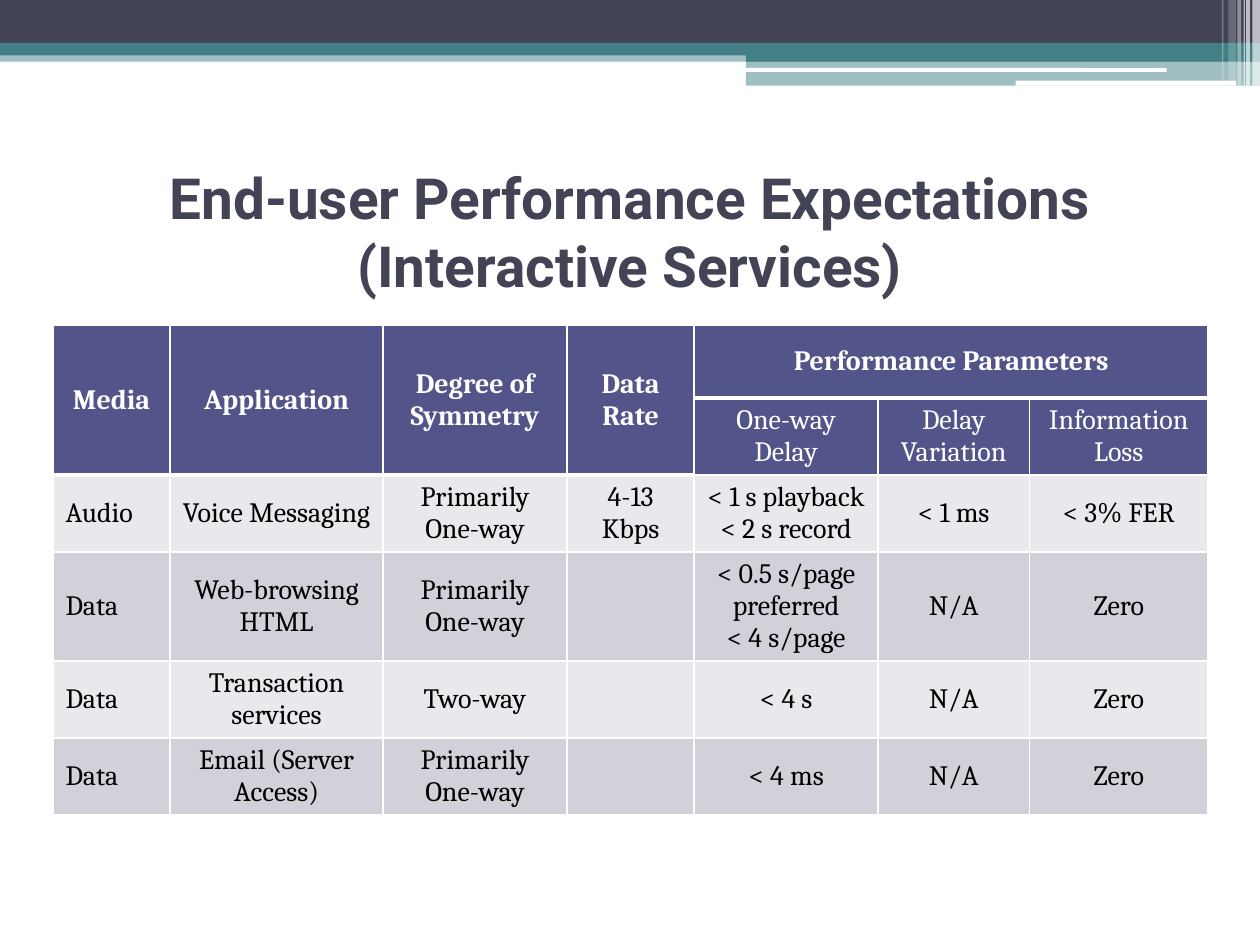
"""Build the slide on end-user performance expectations for interactive services."""
from lxml.etree import SubElement
from pptx import Presentation
from pptx.dml.color import RGBColor
from pptx.enum.shapes import MSO_SHAPE as SHAPE
from pptx.enum.text import MSO_ANCHOR as ANCHOR, MSO_AUTO_SIZE as AUTO, PP_ALIGN as ALIGN
from pptx.oxml.ns import qn
from pptx.util import Inches, Pt

WHITE = RGBColor(0xFF, 0xFF, 0xFF)
BLACK = RGBColor(0, 0, 0)
SLATE = RGBColor(0x42, 0x44, 0x56)
TEAL = RGBColor(0x43, 0x80, 0x86)
HEADER = RGBColor(0x53, 0x54, 0x8A)
BANDS = RGBColor(0xE9, 0xE9, 0xED), RGBColor(0xD1, 0xD1, 0xDA)

TITLE = "End-user Performance Expectations (Interactive Services)"
BARS = [
    (0, 0.4, 10, 0.09, TEAL, 50),
    (0, 0, 10, 0.34, SLATE, 100),
    (0, 0.34, 10, 0.1, TEAL, 100),
    (5.92, 0.39, 4.08, 0.1, TEAL, 100),
    (5.92, 0.48, 4.08, 0.2, TEAL, 50),
]
ROUNDED = [(5.91, 0.54, 3.35, 0.03, WHITE, 100), (8.06, 0.64, 1.75, 0.04, WHITE, 100)]
STRIPES = [
    (9.94, 0, 0.06, 0.68, WHITE, 65),
    (9.89, 0, 0.03, 0.68, WHITE, 65),
    (9.87, 0, 0.01, 0.68, WHITE, 60),
    (9.82, 0, 0.03, 0.68, WHITE, 40),
    (9.75, 0, 0.06, 0.64, WHITE, 20),
    (9.7, 0, 0.01, 0.64, WHITE, 30),
]
COLUMNS = [0.93, 1.69, 1.46, 1.01, 1.46, 1.2, 1.42]
HEIGHTS = [0.58] * 2 + [0.41] * 4
ROWS = [
    ["Media", "Application", "Degree of Symmetry", "Data Rate", "Performance Parameters", "", ""],
    ["", "", "", "", "One-way Delay", "Delay Variation", "Information Loss"],
    ["Audio", "Voice Messaging", "Primarily One-way", "4-13 Kbps",
     "< 1 s playback\n< 2 s record", "< 1 ms", "< 3% FER"],
    ["Data", "Web-browsing HTML", "Primarily One-way", "",
     "< 0.5 s/page\npreferred\n< 4 s/page", "N/A", "Zero"],
    ["Data", "Transaction services", "Two-way", "", "< 4 s", "N/A", "Zero"],
    ["Data", "Email (Server Access)", "Primarily One-way", "", "< 4 ms", "N/A", "Zero"],
]
HEADER_ROWS = 2
MERGES = [((0, c), (1, c)) for c in range(4)] + [((0, 4), (0, 6))]


def style(p, name, size, color, bold, align):
    p.alignment = align
    p.font.name, p.font.size, p.font.bold = name, Pt(size), bold
    p.font.color.rgb = color


def add_bar(slide, kind, x, y, w, h, color, opacity):
    s = slide.shapes.add_shape(kind, Inches(x), Inches(y), Inches(w), Inches(h))
    s.shadow.inherit = False
    s.fill.solid()
    s.fill.fore_color.rgb = color
    s.line.fill.background()
    if opacity < 100:
        rgb = s.fill._xPr.find(qn("a:solidFill"))[0]
        SubElement(rgb, qn("a:alpha"), val=str(opacity * 1000))


def add_borders(cell, bottom):
    tc_pr = cell._tc.get_or_add_tcPr()
    for side, width in (("L", 1), ("R", 1), ("T", 1), ("B", bottom)):
        ln = SubElement(tc_pr, qn(f"a:ln{side}"), w=str(Pt(width)))
        fill = SubElement(ln, qn("a:solidFill"))
        SubElement(fill, qn("a:srgbClr"), val=str(WHITE))


def fill_cell(cell, text, row, col):
    is_header = row < HEADER_ROWS
    add_borders(cell, 3 if row == 0 else 1)
    cell.fill.solid()
    cell.fill.fore_color.rgb = HEADER if is_header else BANDS[(row - HEADER_ROWS) % 2]
    cell.vertical_anchor = ANCHOR.MIDDLE
    cell.text = text
    align = ALIGN.LEFT if col == 0 and not is_header else ALIGN.CENTER
    for p in cell.text_frame.paragraphs:
        style(p, "Cambria", 16, WHITE if is_header else BLACK, row == 0, align)


def add_performance_table(slide):
    frame = slide.shapes.add_table(len(ROWS), len(COLUMNS), Inches(0.42), Inches(2.58),
                                   Inches(9.17), Inches(4.28))
    table = frame.table
    for column, width in zip(table.columns, COLUMNS):
        column.width = Inches(width)
    for row, height in zip(table.rows, HEIGHTS):
        row.height = Inches(height)
    for r, texts in enumerate(ROWS):
        for c, text in enumerate(texts):
            fill_cell(table.cell(r, c), text, r, c)
    for start, end in MERGES:
        table.cell(*start).merge(table.cell(*end))
    frame.height = Inches(4.28)


def main():
    prs = Presentation()
    prs.slide_width, prs.slide_height = Inches(10), Inches(7.5)
    slide = prs.slides.add_slide(prs.slide_layouts[5])
    for kind, bars in ((SHAPE.RECTANGLE, BARS), (SHAPE.ROUNDED_RECTANGLE, ROUNDED),
                       (SHAPE.RECTANGLE, STRIPES)):
        for bar in bars:
            add_bar(slide, kind, *bar)

    title = slide.shapes.title
    title.left, title.top, title.width, title.height = map(Inches, (0.5, 1.25, 9, 1.17))
    tf = title.text_frame
    tf.text = TITLE
    tf.auto_size, tf.word_wrap, tf.vertical_anchor = AUTO.NONE, True, ANCHOR.MIDDLE
    style(tf.paragraphs[0], "Roboto", 32.4, SLATE, True, ALIGN.CENTER)

    add_performance_table(slide)
    prs.save("out.pptx")


if __name__ == "__main__":
    main()
